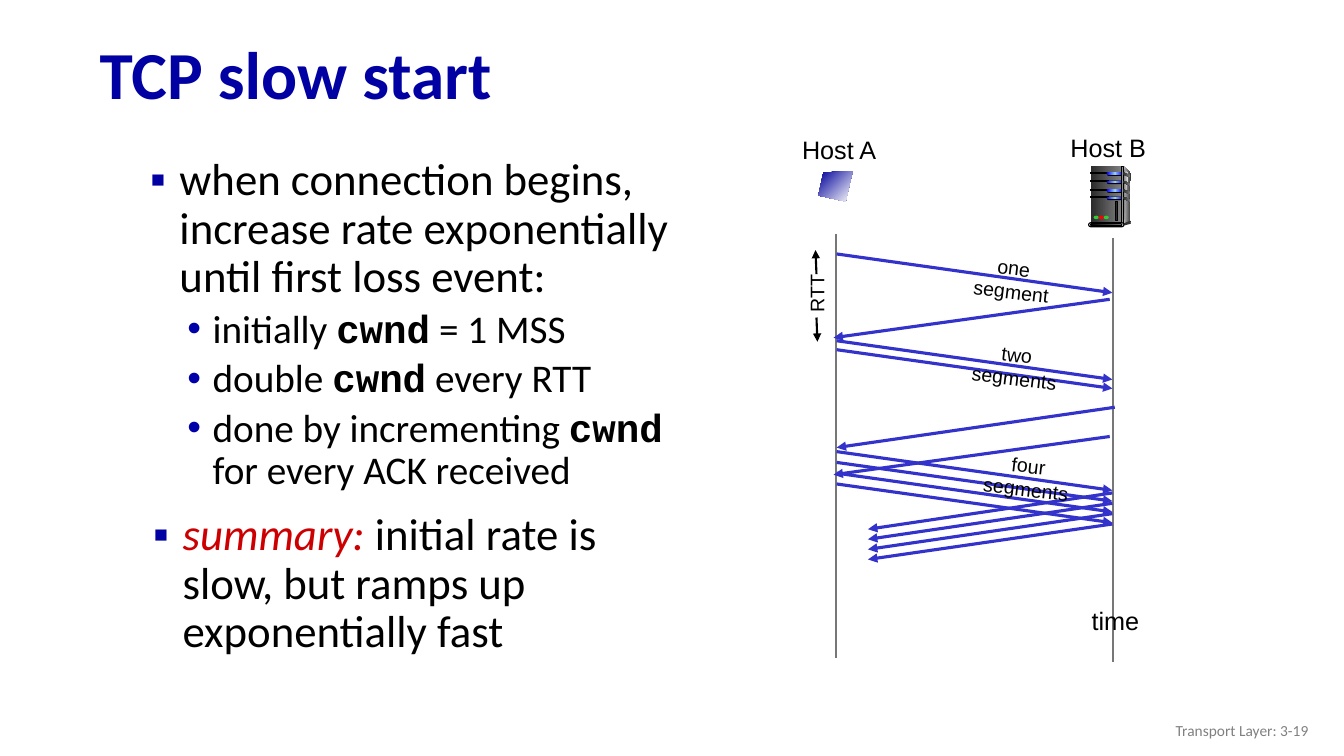
from copy import deepcopy

from pptx import Presentation
from pptx.dml.color import RGBColor
from pptx.enum.shapes import MSO_CONNECTOR, MSO_SHAPE
from pptx.enum.text import MSO_ANCHOR, MSO_AUTO_SIZE, PP_ALIGN
from pptx.oxml.ns import qn
from pptx.oxml.xmlchemy import OxmlElement
from pptx.util import Pt

BLACK = RGBColor(0x00, 0x00, 0x00)
WHITE = RGBColor(0xFF, 0xFF, 0xFF)
NAVY = RGBColor(0x00, 0x00, 0xA3)
SUB_BULLET = RGBColor(0x00, 0x00, 0xA8)
SUMMARY_RED = RGBColor(0xCC, 0x00, 0x00)
ARROW_BLUE = RGBColor(0x33, 0x33, 0xCC)
TIMELINE_GRAY = RGBColor(0x77, 0x77, 0x77)
SCREEN_BLUE = RGBColor(0x00, 0x00, 0x99)
DARK = RGBColor(0x29, 0x29, 0x29)
CHARCOAL = RGBColor(0x33, 0x33, 0x33)
GRAY = RGBColor(0x80, 0x80, 0x80)
SILVER = RGBColor(0xDD, 0xDD, 0xDD)
PALE = RGBColor(0xF8, 0xF8, 0xF8)
BRIGHT_BLUE = RGBColor(0x00, 0x00, 0xFF)
SKY = RGBColor(0x99, 0xCC, 0xFF)
GREEN = RGBColor(0x33, 0xCC, 0x33)
RED = RGBColor(0xFF, 0x00, 0x00)

HOST_A, HOST_B = 597.6, 794.6  # arrow ends beside the two timelines
DROP = 27.7  # fall of a segment on its way to host B


def add_text(paragraph, text, font="Calibri", size=28, color=BLACK, bold=False, italic=False):
    run = paragraph.add_run()
    run.text = text
    run.font.name, run.font.size = font, Pt(size)
    run.font.bold, run.font.italic = bold, italic
    run.font.color.rgb = color


def place(shape, left, top, width, height):
    shape.left, shape.top, shape.width, shape.height = Pt(left), Pt(top), Pt(width), Pt(height)
    shape.text_frame.auto_size = MSO_AUTO_SIZE.NONE


def add_label(slide, text, center, top, width, height, rotation=0, wrap=False,
              align=PP_ALIGN.CENTER, anchor=MSO_ANCHOR.TOP, **style):
    label = slide.shapes.add_textbox(Pt(center - width / 2), Pt(top), Pt(width), Pt(height))
    label.rotation = rotation
    label.text_frame.word_wrap = wrap
    label.text_frame.vertical_anchor = anchor
    paragraph = label.text_frame.paragraphs[0]
    paragraph.alignment = align
    add_text(paragraph, text, **style)


def format_bullet(paragraph, level, space_before):
    symbol, color, margin, indent = [("▪", NAVY, 31, -21), ("•", SUB_BULLET, 54.7, -18)][level]
    paragraph.level = level
    properties = paragraph._p.get_or_add_pPr()
    properties.set("marL", str(Pt(margin)))
    properties.set("indent", str(Pt(indent)))
    bullet_color = OxmlElement("a:buClr")
    rgb = OxmlElement("a:srgbClr")
    rgb.set("val", str(color))
    bullet_color.append(rgb)
    bullet_font = OxmlElement("a:buFont")
    bullet_font.set("typeface", "Arial")
    bullet = OxmlElement("a:buChar")
    bullet.set("char", symbol)
    properties.extend([bullet_color, bullet_font, bullet])
    paragraph.line_spacing = 0.9
    paragraph.space_before = Pt(space_before)


def fill_list(body, items):
    for index, (level, runs) in enumerate(items):
        paragraph = body.text_frame.add_paragraph() if index else body.text_frame.paragraphs[0]
        format_bullet(paragraph, level, 5 if index else 0)
        for text, style in runs:
            add_text(paragraph, text, **style)


def add_line(slide, start, end, color=ARROW_BLUE, width=2.25, arrow=None):
    line = slide.shapes.add_connector(MSO_CONNECTOR.STRAIGHT, *(Pt(v) for v in start + end))
    line.line.color.rgb = color
    line.line.width = Pt(width)
    if arrow:
        arrowhead = OxmlElement(arrow)
        arrowhead.set("type", "triangle")
        line.line._get_or_add_ln().append(arrowhead)
    line._element.spPr.append(OxmlElement("a:effectLst"))


def paint(shape, colors, outline=False, angle=0):
    shape.shadow.inherit = False
    if len(colors) == 1:
        shape.fill.solid()
        shape.fill.fore_color.rgb = colors[0]
    else:
        shape.fill.gradient()
        shape.fill.gradient_angle = angle
        if len(colors) == 3:
            stop_list = shape._element.spPr.find(qn("a:gradFill")).find(qn("a:gsLst"))
            stop_list.insert(1, deepcopy(stop_list[0]))
        for index, (stop, color) in enumerate(zip(shape.fill.gradient_stops, colors)):
            stop.color.rgb = color
            stop.position = index / (len(colors) - 1)
    if outline:
        shape.line.color.rgb = BLACK
        shape.line.width = Pt(0.75)
    else:
        shape.line.fill.background()


def add_part(slide, kind, left, top, width, height, *colors, outline=False):
    part = slide.shapes.add_shape(kind, Pt(left), Pt(top), Pt(width), Pt(height))
    if kind == MSO_SHAPE.ROUNDED_RECTANGLE:
        part.adjustments[0] = 0.5
    paint(part, colors, outline)


def add_outline(slide, points, *colors, angle=0):
    corners = [(Pt(x), Pt(y)) for x, y in points]
    builder = slide.shapes.build_freeform(*corners[0])
    builder.add_line_segments(corners[1:], close=True)
    paint(builder.convert_to_shape(), colors, angle=angle)


def draw_server(slide):
    box, pill, dot = MSO_SHAPE.RECTANGLE, MSO_SHAPE.ROUNDED_RECTANGLE, MSO_SHAPE.OVAL
    drive_tops = [123.1, 129, 135.2, 140.4]
    # Case
    add_outline(slide, [(802.8, 118.8), (807.8, 123.8), (807.1, 158.4), (801.4, 159.8)],
                SILVER, CHARCOAL)
    add_part(slide, box, 779, 118.8, 22.3, 41, DARK, GRAY)
    add_outline(slide, [(802.8, 121), (806.4, 124.6), (803.5, 140), (802.8, 158.4)], GRAY, PALE)
    # Drives
    for top in drive_tops:
        add_part(slide, box, 779, top, 13, 0.7, BLACK, outline=True)
        add_part(slide, pill, 790.6, top, 12.2, 2.5, BLACK)
        add_part(slide, pill, 790.6, top, 11.5, 2, BRIGHT_BLUE, SKY, BRIGHT_BLUE)
    add_part(slide, box, 801.4, 118.8, 1.4, 41, CHARCOAL, SILVER, CHARCOAL, outline=True)
    for top in drive_tops:
        add_outline(slide, [(802.3, top), (807.6, top + 2.2), (807.4, top + 3.6),
                            (802.3, top + 1.6)], DARK, GRAY)
    # Base
    add_part(slide, dot, 807.1, 157.7, 0.7, 1.4, CHARCOAL)
    add_outline(slide, [(802.1, 159.8), (802.1, 161.3), (807.8, 159.8), (807.1, 157.7)], CHARCOAL)
    add_part(slide, pill, 777.6, 159.1, 25.2, 2.9, SILVER, outline=True)
    add_part(slide, pill, 779, 159.8, 22.3, 1.4, BLACK, GRAY, outline=True)
    # Lights and vent
    for index, color in enumerate([GREEN, RED, GREEN]):
        add_part(slide, dot, 781.2 + 3.6 * index, 154.1, 3.6, 2.5, color)
    add_part(slide, box, 797, 144, 1.4, 13.7, DARK, outline=True)


def draw_exchange(slide):
    # Timelines
    add_line(slide, (596.9, 167), (596.9, 470.2), TIMELINE_GRAY, 1.5)
    add_line(slide, (794.9, 169.9), (794.9, 473), TIMELINE_GRAY, 1.5)
    # Segments from A to B
    for top in [181.4, 243.4, 249.8] + [322.6 + 7.7 * i for i in range(4)]:
        add_line(slide, (HOST_A, top), (HOST_B, top + DROP), arrow="a:tailEnd")
    # Acknowledgements from B to A
    acks = [((595.4, 241.2), (792.7, 213.8)), ((597.6, 319.7), (796.3, 290.9)),
            ((595.4, 339.1), (792.7, 311.8))]
    acks += [((620, 378 + 7.2 * i), (HOST_B, 352.1 + 7.4 * i)) for i in range(4)]
    for at_a, at_b in acks:
        add_line(slide, at_a, at_b, arrow="a:headEnd")
    # Round-trip time
    add_line(slide, (583.2, 195.8), (582.5, 178.6), BLACK, 1.5, "a:tailEnd")
    add_line(slide, (583.2, 226.8), (583.9, 244.1), BLACK, 1.5, "a:tailEnd")
    add_label(slide, "RTT", 583.2, 198, 41.8, 23.8, rotation=270, font="Arial", size=14)
    # Labels
    for text, center, top in [("one segment", 724.3, 179.3), ("two segments", 726.5, 241.2),
                              ("four segments", 734.8, 320.4)]:
        add_label(slide, text, center, top, 83, 23.8, rotation=6.8, wrap=True,
                  font="Arial", size=14)
    for text, center, top in [("Host A", 599.4, 92.2), ("Host B", 791.6, 90.7),
                              ("time", 796.7, 429.1)]:
        add_label(slide, text, center, top, 68.4, 28.8, font="Arial", size=18)


def main():
    deck = Presentation()
    deck.slide_width, deck.slide_height = Pt(960), Pt(540)
    slide = deck.slides.add_slide(deck.slide_layouts[3])
    title, details, summary = slide.placeholders

    # Title
    place(title, 64, 20, 897, 70.5)
    title.text_frame.vertical_anchor = MSO_ANCHOR.MIDDLE
    heading = title.text_frame.paragraphs[0]
    heading.alignment = PP_ALIGN.LEFT
    heading.line_spacing = 0.9
    add_text(heading, "TCP slow start", size=48, color=NAVY, bold=True)

    # Lists
    large, code = {"size": 32}, {"font": "Courier New", "bold": True}
    place(details, 90, 108.7, 403, 410)
    fill_list(details, [
        (0, [("when connection begins, increase rate exponentially until first loss event:", large)]),
        (1, [("initially ", {}), ("cwnd", code), (" = 1 MSS", {})]),
        (1, [("double ", {}), ("cwnd", code), (" every RTT", {})]),
        (1, [("done by incrementing ", {}), ("cwnd", code), (" for every ACK received", {})]),
    ])
    place(summary, 92.2, 362.2, 403, 150)
    fill_list(summary, [(0, [
        ("summary: ", {"size": 32, "color": SUMMARY_RED, "italic": True}),
        ("initial rate is slow, but ramps up exponentially fast", large)])])

    # Diagram
    draw_exchange(slide)
    add_outline(slide, [(609.1, 122.4), (588.2, 123.1), (584.6, 139.7), (604.1, 144)],
                SCREEN_BLUE, WHITE, angle=315)
    draw_server(slide)

    # Footer
    add_label(slide, "Transport Layer: 3-19", 833.8, 507.6, 216, 28.8, wrap=True,
              align=PP_ALIGN.RIGHT, anchor=MSO_ANCHOR.MIDDLE, size=11, color=GRAY)
    deck.save("out.pptx")


if __name__ == "__main__":
    main()
